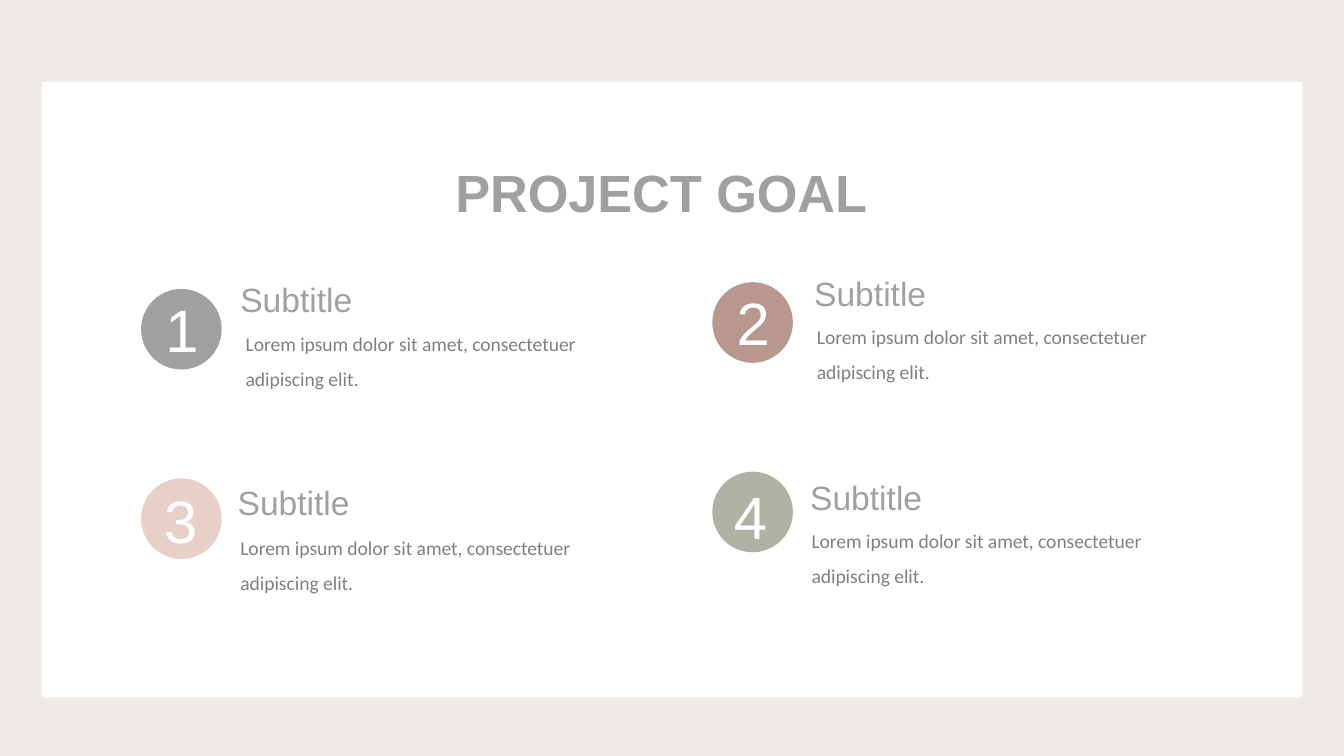
from dataclasses import dataclass

import pptx
import pptx.dml.color
import pptx.enum.shapes
import pptx.enum.text
import pptx.util

Inch = pptx.util.Inches
Align = pptx.enum.text.PP_ALIGN
Kind = pptx.enum.shapes.MSO_SHAPE


@dataclass(frozen=True)
class Theme:
    ground: str = "EFEAE7"
    card: str = "FFFFFF"
    head: str = "A0A09E"
    body: str = "808080"
    digit: str = "FFFFFF"
    sans: str = "Arial"
    text: str = "Calibri"
    title_size: float = 28
    digit_size: float = 32
    sub_size: float = 18
    body_size: float = 10.5


@dataclass(frozen=True)
class Grid:
    left: float = 1.05
    top: float = 2.15
    wide: float = 4.25
    high: float = 1.41
    rise: float = 0.05  # each column sits this much above the one before

    def spot(self, col: int, row: int) -> tuple[float, float]:
        return (self.left + col * self.wide,
                self.top + row * self.high - col * self.rise)


@dataclass(frozen=True)
class Goal:
    """One numbered goal; the pairs are offsets from its disc's corner."""
    col: int
    row: int
    fill: str
    digit: tuple[float, float]
    sub: tuple[float, float]
    body: tuple[float, float]


THEME = Theme()
GRID = Grid()
WIDE = 10
HIGH = WIDE * 9 / 16
DISC = 0.6
LOREM = "Lorem ipsum dolor sit amet, consectetuer adipiscing elit."
GOALS = (
    Goal(0, 0, "A0A09E", (0.08, -0.02), (0.64, -0.12), (0.68, 0.18)),
    Goal(1, 0, "B7978E", (0.08, -0.02), (0.66, -0.12), (0.68, 0.18)),
    Goal(0, 1, "E6D0C8", (0.07, -0.01), (0.62, -0.02), (0.64, 0.29)),
    Goal(1, 1, "B0B1A5", (0.06, 0.01), (0.63, -0.01), (0.64, 0.29)),
)


def tint(code: str) -> pptx.dml.color.RGBColor:
    return pptx.dml.color.RGBColor.from_string(code)


def place(shape, left: float, top: float, wide: float, high: float) -> None:
    shape.left, shape.top = Inch(left), Inch(top)
    shape.width, shape.height = Inch(wide), Inch(high)


def write(shape, text: str, *, size: float, color: str, face: str = THEME.sans,
          bold: bool = False, align=Align.LEFT, wrap: bool = True,
          space: float = 1.0) -> None:
    frame = shape.text_frame
    frame.text = text
    frame.word_wrap = wrap
    frame.auto_size = pptx.enum.text.MSO_AUTO_SIZE.SHAPE_TO_FIT_TEXT
    frame.vertical_anchor = pptx.enum.text.MSO_ANCHOR.TOP
    line = frame.paragraphs[0]
    line.alignment, line.line_spacing = align, space
    font = line.runs[0].font
    font.name, font.size, font.bold = face, pptx.util.Pt(size), bold
    font.color.rgb = tint(color)


def label(shapes, text: str, left: float, top: float, wide: float,
          high: float, **form) -> None:
    box = shapes.add_textbox(Inch(left), Inch(top), Inch(wide), Inch(high))
    write(box, text, **form)


def solid(shapes, kind, fill: str, *area: float):
    shape = shapes.add_shape(kind, *map(Inch, area))
    shape.shadow.inherit = False
    shape.fill.solid()
    shape.fill.fore_color.rgb = tint(fill)
    shape.line.fill.background()
    return shape


def draw(slide, goal: Goal, count: int) -> None:
    left, top = GRID.spot(goal.col, goal.row)

    def shift(move: tuple[float, float]) -> tuple[float, float]:
        return left + move[0], top + move[1]

    label(slide.shapes, "Subtitle", *shift(goal.sub), 1.06, 0.4,
          size=THEME.sub_size, color=THEME.head)
    label(slide.shapes, LOREM, *shift(goal.body), 3.2, 0.6,
          size=THEME.body_size, color=THEME.body, face=THEME.text, space=1.5)
    badge = slide.shapes.add_group_shape().shapes
    solid(badge, Kind.OVAL, goal.fill, left, top, DISC, DISC)
    label(badge, str(count), *shift(goal.digit), 0.45, 0.64,
          size=THEME.digit_size, color=THEME.digit, align=Align.CENTER,
          wrap=False)


def main() -> None:
    deck = pptx.Presentation()
    deck.slide_width, deck.slide_height = Inch(WIDE), Inch(HIGH)
    slide = deck.slides.add_slide(deck.slide_layouts.get_by_name("Title Only"))
    slide.background.fill.solid()
    slide.background.fill.fore_color.rgb = tint(THEME.ground)

    edge = 0.31
    card = solid(slide.shapes, Kind.RECTANGLE, THEME.card,
                 edge, 0.61, WIDE - 2 * edge, 4.58)
    title = slide.shapes.title
    card.element.addnext(title.element)  # bring the title above the card
    place(title, 2.88, 1.14, 4.08, 0.57)
    write(title, "PROJECT GOAL", size=THEME.title_size, color=THEME.head,
          bold=True, align=Align.CENTER)

    for count, goal in enumerate(GOALS, 1):
        draw(slide, goal, count)
    deck.save("out.pptx")


if __name__ == "__main__":
    main()
